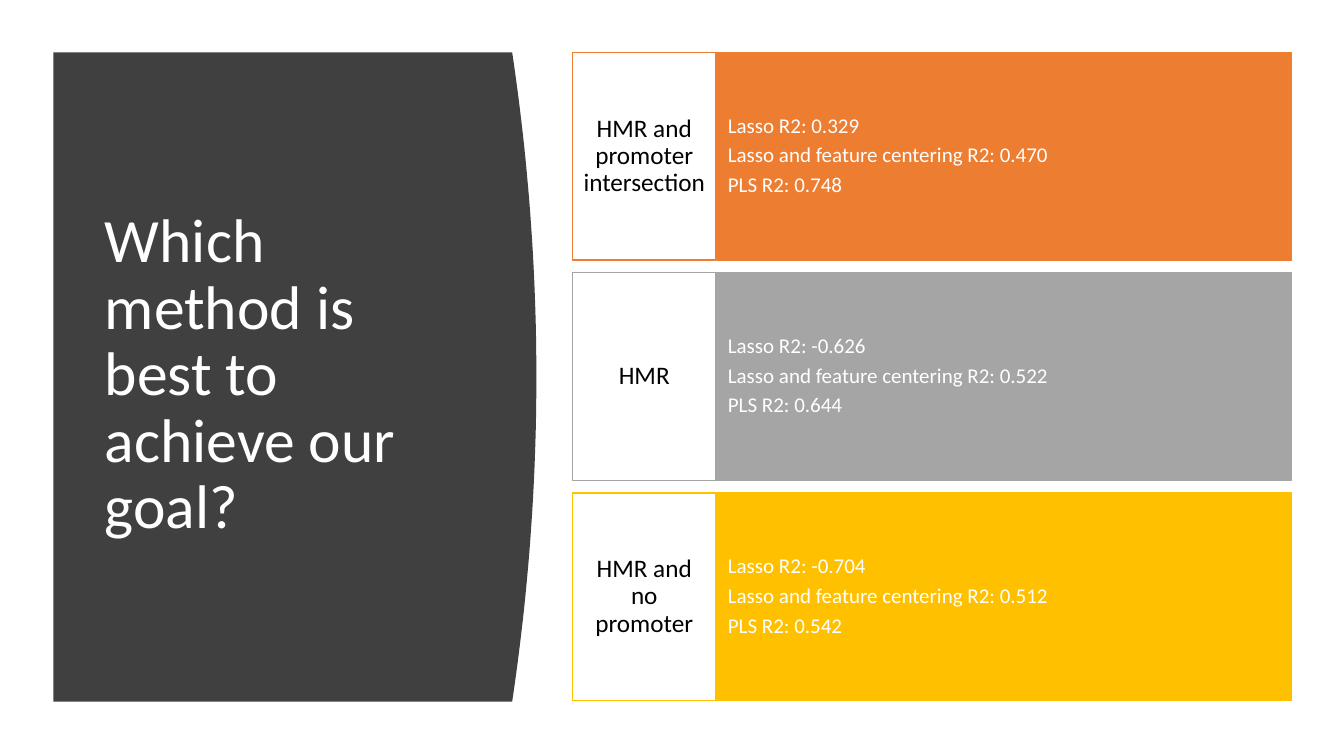
from dataclasses import dataclass

from pptx import Presentation
from pptx.dml.color import RGBColor
from pptx.enum.shapes import MSO_SHAPE
from pptx.enum.text import MSO_ANCHOR, MSO_AUTO_SIZE, PP_ALIGN
from pptx.util import Inches, Pt


@dataclass(frozen=True)
class Theme:
    """Font, type sizes and colours of the slide."""
    font: str = "Calibri"
    title_size: int = 44
    label_size: int = 18
    score_size: int = 15
    panel: str = "404040"
    light: str = "FFFFFF"
    dark: str = "000000"
    accents: tuple = ("ED7D31", "A5A5A5", "FFC000")


THEME = Theme()
TOP, HEIGHT = 0.52, 6.44
LABEL_LEFT, LABEL_WIDTH = 5.68, 1.42
SCORES_LEFT, SCORES_WIDTH = 7.11, 5.7
ROW_HEIGHT, ROW_PITCH = 2.06, 2.185
METHODS = ("Lasso", "Lasso and feature centering", "PLS")
REGIONS = (
    ("HMR and promoter intersection", ("0.329", "0.470", "0.748")),
    ("HMR", ("-0.626", "0.522", "0.644")),
    ("HMR and no promoter", ("-0.704", "0.512", "0.542")),
)


def rgb(value):
    """Turn a hex string into a colour."""
    return RGBColor.from_string(value)


def write_text(frame, lines, size, color, align, space_after=0):
    """Fill a text frame with one styled paragraph per line."""
    frame.word_wrap = True
    frame.auto_size = MSO_AUTO_SIZE.NONE
    frame.vertical_anchor = MSO_ANCHOR.MIDDLE
    for index, line in enumerate(lines):
        paragraph = frame.add_paragraph() if index else frame.paragraphs[0]
        paragraph.alignment = align
        paragraph.line_spacing = 0.9
        paragraph.space_before = Pt(0)
        paragraph.space_after = Pt(space_after)
        run = paragraph.add_run()
        run.text = line
        run.font.name = THEME.font
        run.font.size = Pt(size)
        run.font.color.rgb = rgb(color)


def add_panel(slide):
    """Draw the dark panel with a bowed right edge and return it."""
    left, corner, bulge, steps = 0.53, 5.08, 0.24, 48
    edge = []
    for step in range(steps + 1):
        offset = 2 * step / steps - 1
        edge.append((Inches(corner + bulge * (1 - offset ** 2)),
                     Inches(TOP + HEIGHT * step / steps)))
    builder = slide.shapes.build_freeform(Inches(left), Inches(TOP))
    builder.add_line_segments(edge + [(Inches(left), Inches(TOP + HEIGHT))])
    panel = builder.convert_to_shape()
    panel.shadow.inherit = False
    panel.fill.solid()
    panel.fill.fore_color.rgb = rgb(THEME.panel)
    panel.line.fill.background()
    return panel


def format_title(slide, text):
    """Place and style the title placeholder."""
    title = slide.shapes.title
    title.left, title.top = Inches(0.94), Inches(1.11)
    title.width, title.height = Inches(3.74), Inches(5.24)
    write_text(title.text_frame, [text], THEME.title_size, THEME.light,
               PP_ALIGN.LEFT)
    return title


def add_box(slide, left, top, width, fill, line, margin_x, margin_y):
    """Add one row cell and return its text frame."""
    box = slide.shapes.add_shape(
        MSO_SHAPE.RECTANGLE, Inches(left), Inches(top), Inches(width),
        Inches(ROW_HEIGHT))
    box.shadow.inherit = False
    box.fill.solid()
    box.fill.fore_color.rgb = rgb(fill)
    box.line.color.rgb = rgb(line)
    box.line.width = Pt(1)
    frame = box.text_frame
    frame.margin_left = frame.margin_right = Inches(margin_x)
    frame.margin_top = frame.margin_bottom = Inches(margin_y)
    return frame


def add_region_row(slide, top, region, scores, accent):
    """Add a region label and the scores of each method beside it."""
    score_frame = add_box(slide, SCORES_LEFT, top, SCORES_WIDTH, accent,
                          accent, 0.11, 0.52)
    lines = [f"{method} R2: {score}" for method, score in zip(METHODS, scores)]
    write_text(score_frame, lines, THEME.score_size, THEME.light,
               PP_ALIGN.LEFT, space_after=5)
    label_frame = add_box(slide, LABEL_LEFT, top, LABEL_WIDTH, THEME.light,
                          accent, 0.08, 0.2)
    write_text(label_frame, [region], THEME.label_size, THEME.dark,
               PP_ALIGN.CENTER, space_after=6)


def main():
    """Build and save the slide."""
    deck = Presentation()
    deck.slide_width, deck.slide_height = Inches(13.33), Inches(7.5)
    layout = deck.slide_layouts.get_by_name("Title Only")
    slide = deck.slides.add_slide(layout)
    title = format_title(slide, "Which method is best to achieve our goal?")
    panel = add_panel(slide)
    title.element.addprevious(panel.element)
    for row, ((region, scores), accent) in enumerate(
            zip(REGIONS, THEME.accents)):
        add_region_row(slide, TOP + row * ROW_PITCH, region, scores, accent)
    deck.save("out.pptx")


if __name__ == "__main__":
    main()
